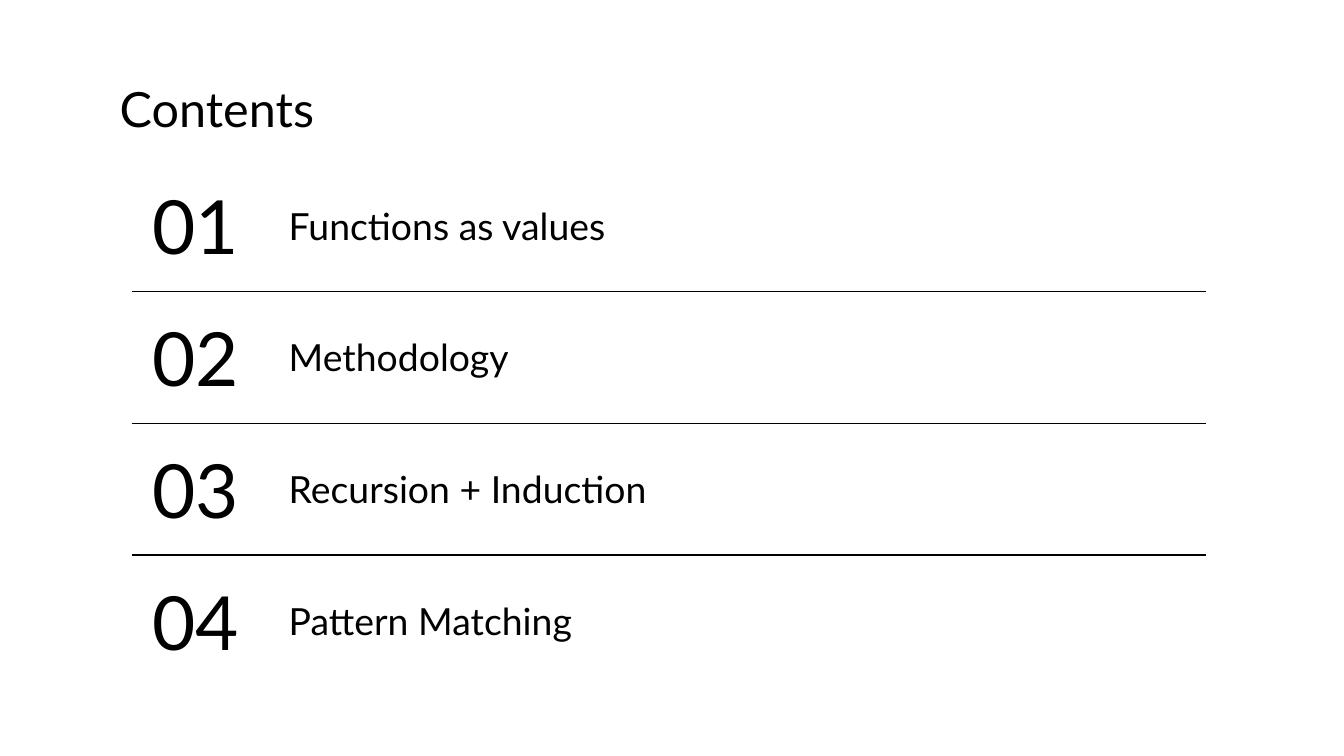
import pptx
import pptx.util
import pptx.dml.color
import pptx.enum.shapes
import pptx.enum.text
import pptx.oxml.ns
import lxml.etree
from dataclasses import dataclass

Inches = pptx.util.Inches
Align = pptx.enum.text.PP_ALIGN
Anchor = pptx.enum.text.MSO_ANCHOR


@dataclass
class Theme:
    font: str = "Lato"
    ink: pptx.dml.color.RGBColor = pptx.dml.color.RGBColor(0, 0, 0)
    paper: pptx.dml.color.RGBColor = pptx.dml.color.RGBColor(255, 255, 255)
    title: int = 26
    number: int = 40
    topic: int = 20
    rule: float = 0.75


theme = Theme()


def write(shape, text, size, align=Align.LEFT, anchor=Anchor.MIDDLE):
    """Fill a shape with one styled line of text."""
    frame = shape.text_frame
    frame.word_wrap = True
    frame.auto_size = pptx.enum.text.MSO_AUTO_SIZE.NONE
    frame.vertical_anchor = anchor
    frame.margin_left = frame.margin_right = Inches(0.1)
    frame.margin_top = frame.margin_bottom = Inches(0.1)
    line = frame.paragraphs[0]
    line.alignment = align
    run = line.add_run()
    run.text = text
    run.font.name = theme.font
    run.font.size = pptx.util.Pt(size)
    run.font.color.rgb = theme.ink


# A 16:9 slide
deck = pptx.Presentation()
deck.slide_width = Inches(10)
deck.slide_height = Inches(10 * 9 / 16)
slide = deck.slides.add_slide(deck.slide_layouts[5])
slide.background.fill.solid()
slide.background.fill.fore_color.rgb = theme.paper

title = slide.shapes.title
title.left, title.top = Inches(0.79), Inches(0.49)
title.width, title.height = Inches(8.43), Inches(0.63)
write(title, "Contents", theme.title, anchor=Anchor.TOP)

topics = ["Functions as values", "Methodology", "Recursion + Induction", "Pattern Matching"]
top, step = 1.26, 0.98

for i, topic in enumerate(topics):
    y = top + i * step
    number = slide.shapes.add_textbox(Inches(1.03), Inches(y), Inches(0.85), Inches(0.83))
    write(number, f"{i + 1:02}", theme.number, Align.CENTER)
    label = slide.shapes.add_textbox(Inches(2.05), Inches(y + 0.2), Inches(4.24), Inches(0.43))
    write(label, topic, theme.topic)

    # A rule parts each row from the next
    if i < len(topics) - 1:
        level = Inches(y + 0.91)
        rule = slide.shapes.add_connector(
            pptx.enum.shapes.MSO_CONNECTOR.STRAIGHT, Inches(0.98), level, Inches(8.97), level)
        rule.line.color.rgb = theme.ink
        rule.line.width = pptx.util.Pt(theme.rule)
        lxml.etree.SubElement(rule._element.spPr, pptx.oxml.ns.qn("a:effectLst"))

deck.save("out.pptx")
